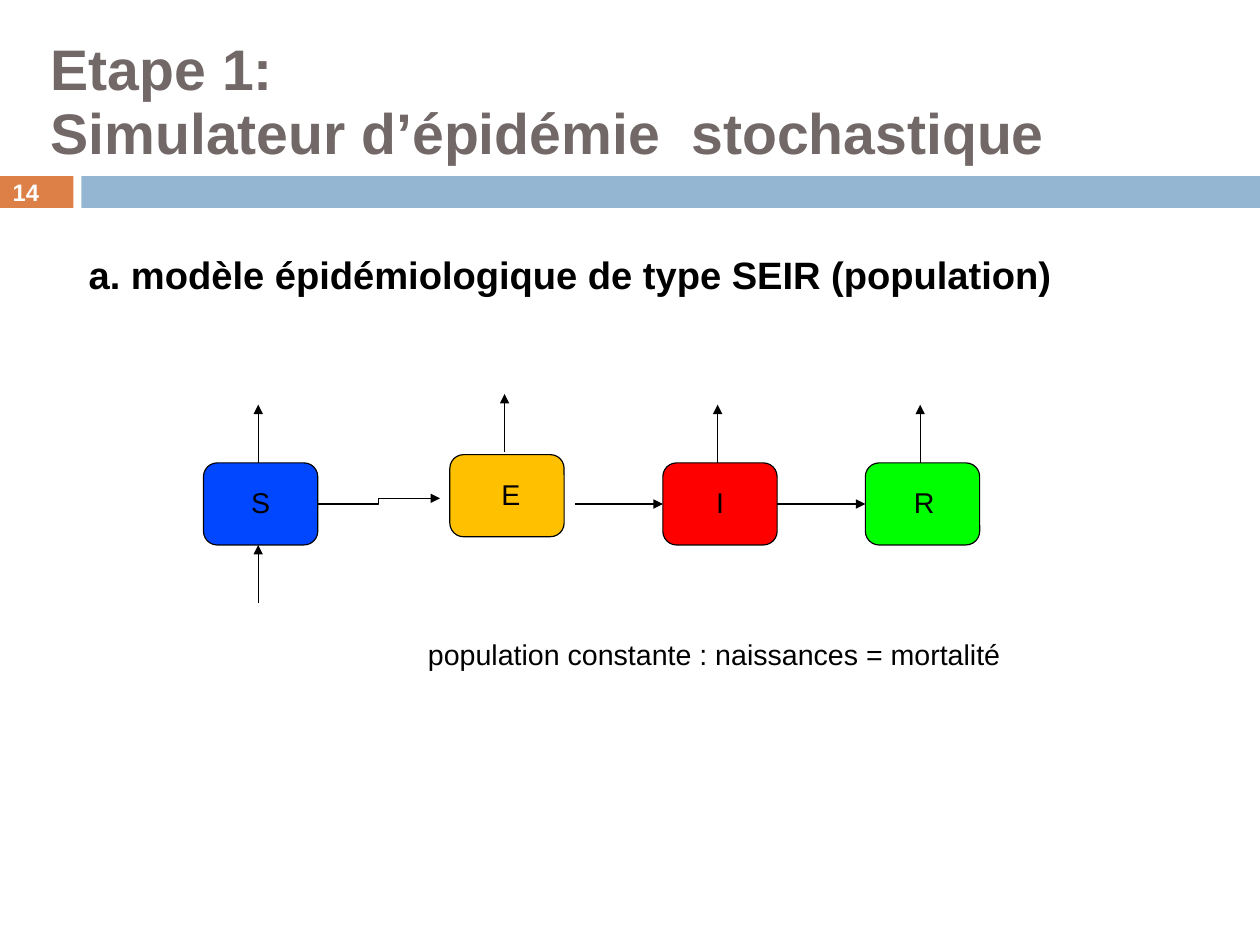
from lxml import etree
from pptx import Presentation
from pptx.dml.color import RGBColor
from pptx.enum import shapes, text
from pptx.oxml import ns
from pptx.util import Pt

FONT = "Arial"
BLACK = "000000"
WHITE = "FFFFFF"
SLIDE_WIDTH, SLIDE_HEIGHT = 793.75, 595.25
BAND_TOP, BAND_HEIGHT, BAND_LEFT = 111, 20, 51.3
BOX_WIDTH, BOX_HEIGHT = 72, 51.7
ARROW_OFFSET, ARROW_LENGTH = 34.5, 36.7
FLOW_Y = 317.5
COMPARTMENTS = [
    ("S", 128.2, 291.6, "0047FF", 0, 0),
    ("E", 283.4, 286.4, "FFC000", 1.5, 2.5),
    ("I", 417.6, 291.6, "FF0000", 0, 0),
    ("R", 545.2, 291.6, "00FF00", 0, 1),
]
FLOWS = [
    (200.2, FLOW_Y, 277.2, 313.9),
    (362.2, FLOW_Y, 417.6, FLOW_Y),
    (489.6, FLOW_Y, 545.2, FLOW_Y),
]


def color(value):
    return RGBColor.from_string(value)


def write(shape, words, size, ink, bold=False, align=text.PP_ALIGN.LEFT,
          anchor=text.MSO_ANCHOR.MIDDLE, margins=(7.2, 3.6), spacing=1.0):
    frame = shape.text_frame
    frame.text = words
    frame.word_wrap = True
    frame.auto_size = text.MSO_AUTO_SIZE.NONE
    frame.vertical_anchor = anchor
    frame.margin_left = frame.margin_right = Pt(margins[0])
    frame.margin_top = frame.margin_bottom = Pt(margins[1])
    for para in frame.paragraphs:
        para.alignment = align
        para.line_spacing = spacing
        para.space_before = Pt(0)
        for span in para.runs:
            span.font.name = FONT
            span.font.size = Pt(size)
            span.font.bold = bold
            span.font.color.rgb = color(ink)


def add_title(page, words):
    title = page.shapes.title
    title.left, title.top, title.width, title.height = Pt(24.8), Pt(19.7), Pt(768), Pt(90.7)
    write(title, words, 36, "726868", bold=True, spacing=0.93)


def add_box(page, kind, left, top, width, height, fill, outline=None):
    box = page.shapes.add_shape(kind, Pt(left), Pt(top), Pt(width), Pt(height))
    box.shadow.inherit = False
    box.fill.solid()
    box.fill.fore_color.rgb = color(fill)
    if outline:
        box.line.color.rgb = color(outline)
        box.line.width = Pt(0.75)
    else:
        box.line.fill.background()
    return box


def add_label(page, words, left, top, width, height, size, bold=False):
    label = page.shapes.add_textbox(Pt(left), Pt(top), Pt(width), Pt(height))
    write(label, words, size, BLACK, bold, anchor=text.MSO_ANCHOR.TOP, margins=(7.2, 5))


def add_arrow(page, kind, x1, y1, x2, y2):
    arrow = page.shapes.add_connector(kind, Pt(x1), Pt(y1), Pt(x2), Pt(y2))
    arrow.line.color.rgb = color(BLACK)
    arrow.line.width = Pt(0.75)
    properties = arrow._element.spPr
    etree.SubElement(properties.find(ns.qn("a:ln")), ns.qn("a:tailEnd"), type="triangle")
    etree.SubElement(properties, ns.qn("a:effectLst"))


def add_compartment(page, name, left, top, fill, gap, shift):
    box = add_box(page, shapes.MSO_SHAPE.ROUNDED_RECTANGLE, left, top,
                  BOX_WIDTH, BOX_HEIGHT, fill, BLACK)
    write(box, name, 18, BLACK, align=text.PP_ALIGN.CENTER, spacing=0.93)
    box.text_frame.margin_left += Pt(2 * shift)
    x, start = left + ARROW_OFFSET, top - gap
    add_arrow(page, shapes.MSO_CONNECTOR.STRAIGHT, x, start, x, start - ARROW_LENGTH)


def main():
    deck = Presentation()
    deck.slide_width, deck.slide_height = Pt(SLIDE_WIDTH), Pt(SLIDE_HEIGHT)
    page = deck.slides.add_slide(deck.slide_layouts[5])

    number = add_box(page, shapes.MSO_SHAPE.RECTANGLE, 0, BAND_TOP, 46.2, BAND_HEIGHT, "DD8047")
    write(number, "14", 15, WHITE, bold=True, margins=(8, 0))
    add_box(page, shapes.MSO_SHAPE.RECTANGLE, BAND_LEFT, BAND_TOP,
            SLIDE_WIDTH - BAND_LEFT, BAND_HEIGHT, "94B6D2")
    add_title(page, "Etape 1:\nSimulateur d’épidémie  stochastique")
    add_label(page, "a. modèle épidémiologique de type SEIR (population)",
              48.8, 153.4, 640, 38, 24, bold=True)

    for compartment in COMPARTMENTS:
        add_compartment(page, *compartment)
    for flow in FLOWS:
        add_arrow(page, shapes.MSO_CONNECTOR.ELBOW, *flow)
    birth_x = COMPARTMENTS[0][1] + ARROW_OFFSET
    birth_y = COMPARTMENTS[0][2] + BOX_HEIGHT
    add_arrow(page, shapes.MSO_CONNECTOR.STRAIGHT,
              birth_x, birth_y + ARROW_LENGTH, birth_x, birth_y)

    add_label(page, "population constante : naissances = mortalité",
              262.5, 396.2, 390, 28, 18)
    deck.save("out.pptx")


if __name__ == "__main__":
    main()
